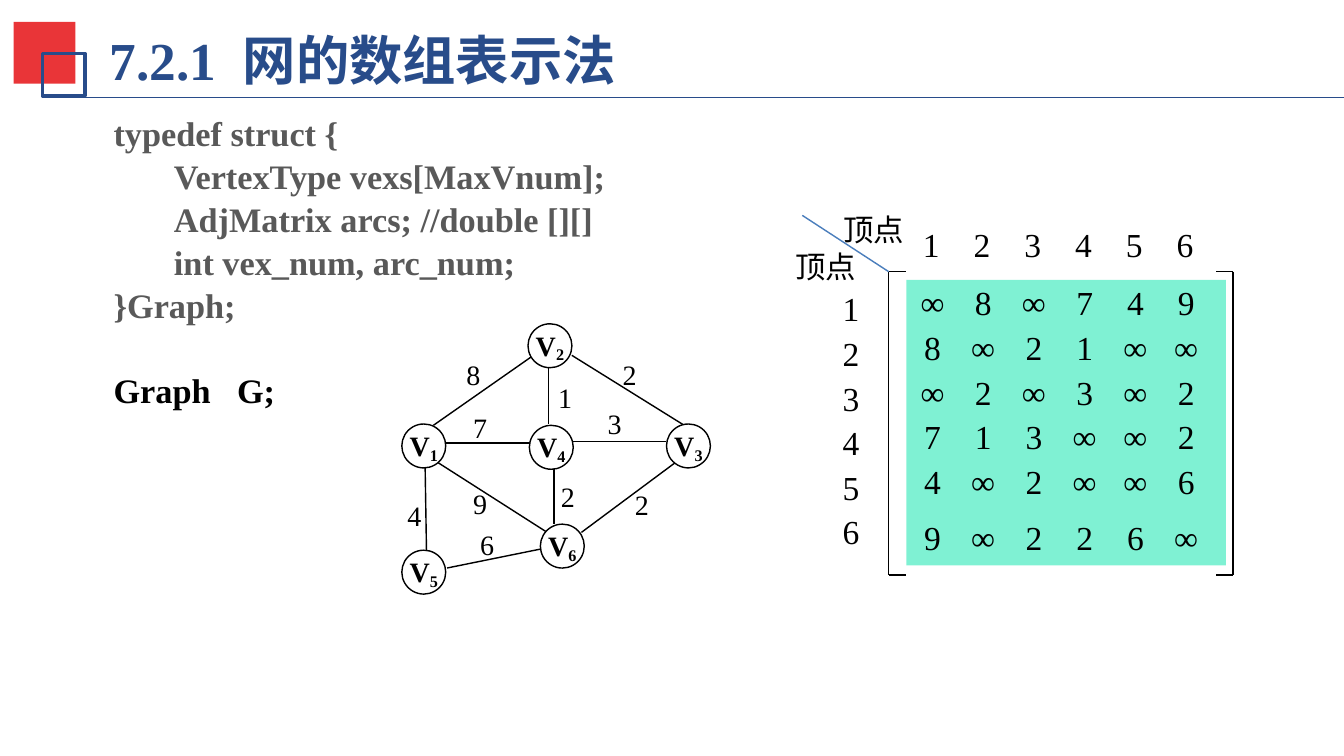
from dataclasses import dataclass

from pptx import Presentation
from pptx.dml.color import RGBColor
from pptx.enum.shapes import MSO_CONNECTOR, MSO_SHAPE
from pptx.enum.text import MSO_ANCHOR, MSO_AUTO_SIZE, PP_ALIGN
from pptx.oxml.ns import qn
from pptx.util import Pt
from lxml.etree import SubElement

PX = 9144  # EMU in one px, 100 px to the inch


@dataclass(frozen=True)
class Theme:
    font: str = "Times New Roman"
    label_font: str = "Calibri"
    navy: str = "284C8A"
    red: str = "E93538"
    mint: str = "00E4A8"
    blue: str = "4B7EBC"
    grey: str = "595959"
    black: str = "000000"
    white: str = "FFFFFF"
    title: float = 28
    code: float = 18
    matrix: float = 17.6
    label: float = 16
    graph: float = 14.7


T = Theme()

TITLE = "7.2.1  网的数组表示法"
CODE = [  # text, indent
    ("typedef struct {", 0),
    ("VertexType vexs[MaxVnum];", 44),
    ("AdjMatrix arcs; //double [][]", 44),
    ("int vex_num, arc_num;", 44),
    ("}Graph;", 0),
]
DECLARATION = "Graph\tG;"
AXIS = "顶点"
MATRIX = ["∞8∞749", "8∞21∞∞", "∞2∞3∞2", "713∞∞2", "4∞2∞∞6", "9∞226∞"]
INDEX = "123456"
COLUMN_STEP = 37

VERTEX_SIZE = 32
VERTICES = {1: (293, 309), 2: (385, 236), 3: (486, 309),
            4: (386, 310), 5: (293, 401), 6: (394, 382)}
EDGES = [  # from, to, weight, place of the weight
    ((389, 259), (316, 310), 8, (340, 265)),
    ((417, 259), (499, 310), 2, (454, 265)),
    ((387, 323), (324, 323), 7, (345, 304)),
    ((414, 322), (486, 322), 3, (443, 301)),
    ((310, 341), (311, 402), 4, (297, 368)),
    ((316, 335), (399, 388), 9, (345, 359)),
    ((395, 400), (326, 414), 6, (350, 389)),
    ((494, 336), (424, 388), 2, (463, 360)),
    ((400, 309), (400, 268), 1, (407, 282)),
    ((404, 341), (404, 382), 2, (409, 354)),
]


def emu(*lengths):
    return [n * PX for n in lengths]


def line(shapes, start, end, color=T.black, width=0.75):
    c = shapes.add_connector(MSO_CONNECTOR.STRAIGHT, *emu(*start, *end))
    c.line.color.rgb = RGBColor.from_string(color)
    c.line.width = Pt(width)
    SubElement(c._element.spPr, qn("a:effectLst"))


def shape(shapes, kind, box, fill=None, outline=None, width=0.75):
    sp = shapes.add_shape(kind, *emu(*box))
    sp.shadow.inherit = False
    if fill:
        sp.fill.solid()
        sp.fill.fore_color.rgb = RGBColor.from_string(fill)
    else:
        sp.fill.background()
    if outline:
        sp.line.color.rgb = RGBColor.from_string(outline)
        sp.line.width = Pt(width)
    else:
        sp.line.fill.background()
    return sp


def frame(sp, insets=(0, 0, 0, 0), anchor=MSO_ANCHOR.TOP):
    tf = sp.text_frame
    tf.word_wrap = True
    tf.auto_size = MSO_AUTO_SIZE.NONE
    tf.vertical_anchor = anchor
    tf.margin_left, tf.margin_top, tf.margin_right, tf.margin_bottom = emu(*insets)
    return tf


def textbox(shapes, box, **kw):
    return frame(shapes.add_textbox(*emu(*box)), **kw)


def paragraph(tf, text, size, color=T.black, font=T.font, bold=False,
              align=PP_ALIGN.LEFT, spacing=1.0, before=0, indent=0, tabs=()):
    """Fill the frame's empty first paragraph, or add one; tabs are (px, alignment)."""
    p = tf.paragraphs[0]
    if p.runs:
        p = tf.add_paragraph()
    p.add_run().text = text
    p.font.size, p.font.name, p.font.bold = Pt(size), font, bold
    p.font.color.rgb = RGBColor.from_string(color)
    p.alignment, p.line_spacing, p.space_before = align, spacing, Pt(before)
    pPr = p._p.get_or_add_pPr()
    if indent:
        pPr.set("marL", str(indent * PX))
    if tabs:
        stops = pPr.makeelement(qn("a:tabLst"))
        for pos, algn in tabs:
            SubElement(stops, qn("a:tab"), pos=str(pos * PX), algn=algn)
        pPr.find(qn("a:defRPr")).addprevious(stops)
    return p


def row(tf, cells, first, before=4.4):
    """One line of cells centred on evenly spaced tab stops."""
    stops = [(first + i * COLUMN_STEP, "ctr") for i in range(len(cells))]
    paragraph(tf, "".join("\t" + c for c in cells), T.matrix,
              spacing=0.9, before=before, tabs=stops)


def draw_heading(s):
    title = s.shapes.title
    title.left, title.top, title.width, title.height = emu(73, 16, 691, 55)
    tf = frame(title, (7, 4, 7, 4), MSO_ANCHOR.MIDDLE)
    paragraph(tf, TITLE, T.title, T.navy, bold=True)
    shape(s.shapes, MSO_SHAPE.RECTANGLE, (10, 16, 45, 45), fill=T.red)
    shape(s.shapes, MSO_SHAPE.RECTANGLE, (31, 39, 31, 31), outline=T.navy, width=2)
    line(s.shapes, (38, 71), (980, 71), T.navy)


def draw_code(s):
    tf = textbox(s.shapes, (73, 75, 508, 222), insets=(10, 5, 10, 5))
    for text, indent in CODE:
        paragraph(tf, text, T.code, T.grey, bold=True, spacing=1.05, indent=indent)
    paragraph(tf, DECLARATION, T.code, bold=True, spacing=1.05, before=21.7,
              tabs=[(90, "l")])


def draw_matrix(s):
    shapes = s.shapes.add_group_shape().shapes
    body = shape(shapes, MSO_SHAPE.RECTANGLE, (661, 204, 233, 208), fill=T.mint)
    color = body.fill._xPr.find(qn("a:solidFill"))[0]
    SubElement(color, qn("a:alpha"), val="50000")
    tf = frame(body, anchor=MSO_ANCHOR.MIDDLE)
    for cells in MATRIX:
        row(tf, cells, 19, before=10.7 if cells is MATRIX[-1] else 4.4)

    top, bottom = 198, 419
    for x, tip in ((648, 661), (899, 887)):
        line(shapes, (x, top), (x, bottom))
        for y in (top, bottom):
            line(shapes, (x, y), (tip, y))

    tf = textbox(shapes, (605, 198, 31, 220), anchor=MSO_ANCHOR.MIDDLE)
    for n in INDEX:
        paragraph(tf, n, T.matrix, align=PP_ALIGN.CENTER, spacing=0.9, before=4.4)
    row(textbox(shapes, (654, 168, 233, 24), anchor=MSO_ANCHOR.MIDDLE), INDEX, 25)

    tf = textbox(s.shapes, (576, 149, 97, 64), insets=(4, 5, 4, 5))
    for indent in (35, 0):
        paragraph(tf, AXIS, T.label, font=T.label_font, indent=indent)
    line(s.shapes, (585, 157), (648, 198), T.blue)


def draw_graph(s):
    shapes = s.shapes.add_group_shape().shapes
    for start, end, weight, place in EDGES:
        line(shapes, start, end)
        paragraph(textbox(shapes, (*place, 22, 20)), str(weight), T.graph,
                  align=PP_ALIGN.JUSTIFY, spacing=0.8)
    for n, place in VERTICES.items():
        sp = shape(shapes, MSO_SHAPE.OVAL, (*place, VERTEX_SIZE, VERTEX_SIZE),
                   T.white, T.black)
        p = paragraph(frame(sp, (0, 4, 0, 0)), "V", T.graph, bold=True,
                      align=PP_ALIGN.CENTER, spacing=0.72)
        r = p.add_run()
        r.text = str(n)
        r.font._element.set("baseline", "-16000")


def main():
    prs = Presentation()
    prs.slide_width, prs.slide_height = emu(980, 551)
    s = prs.slides.add_slide(prs.slide_layouts[5])
    draw_heading(s)
    draw_matrix(s)
    draw_code(s)
    draw_graph(s)
    prs.save("out.pptx")


if __name__ == "__main__":
    main()
